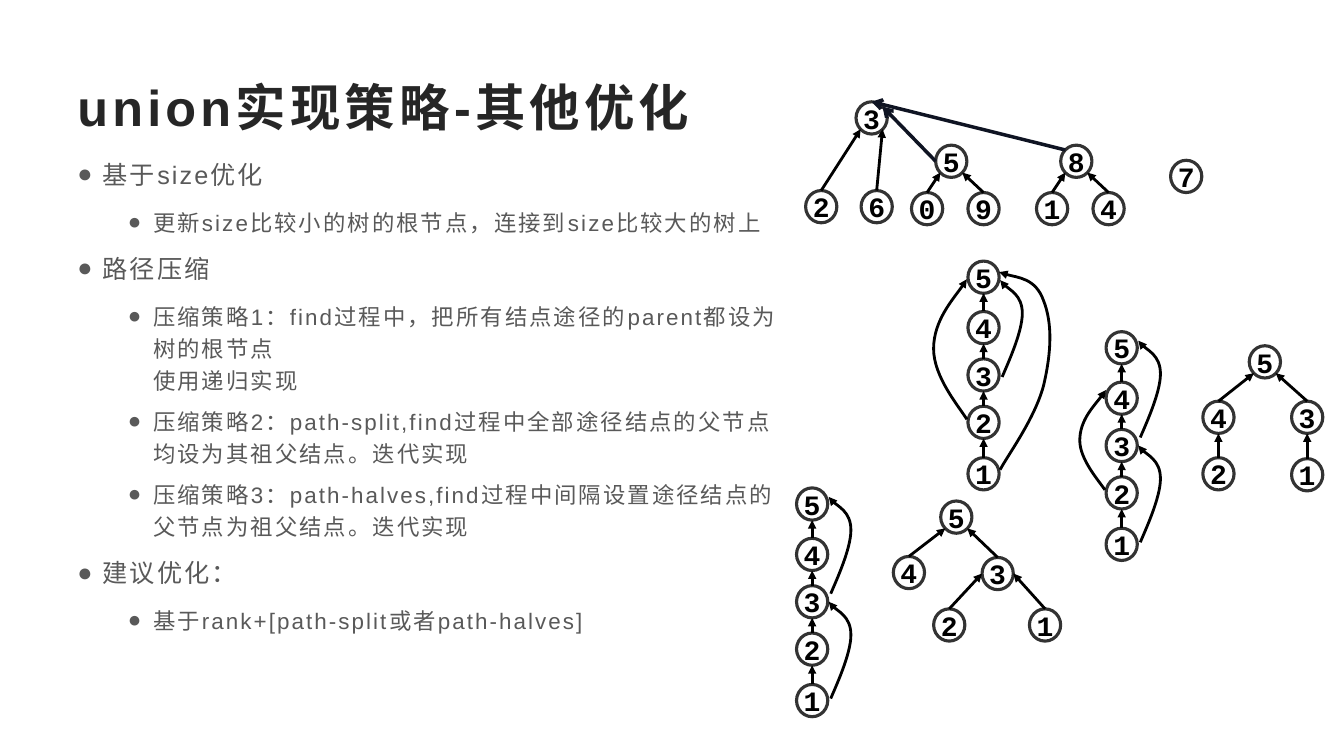
import pptx
import pptx.util
import pptx.dml.color
import pptx.enum.shapes
import pptx.enum.text
import pptx.oxml.ns
import lxml.etree

Inches, Pt = pptx.util.Inches, pptx.util.Pt
qn = pptx.oxml.ns.qn
COLORS = {"title": "262626", "body": "595959", "ink": "000000",
          "ring": "333333", "node": "FFFFFF", "merge": "0F1423"}

# Text formats
TITLE = {"size": Pt(36), "bold": True, "name": "Arial"}
NODE = {"size": Pt(20), "bold": True, "name": "Courier New"}
LEVELS = [
    {"font": {"size": Pt(18), "name": "Arial"}, "margin": 0.25,
     "para": {"level": 0, "line_spacing": 1.3, "space_after": Pt(10)}},
    {"font": {"size": Pt(16), "name": "Arial"}, "margin": 0.75,
     "para": {"level": 1, "line_spacing": 1.2, "space_after": Pt(6)}},
]
BODY = [
    (0, "基于size优化"),
    (1, "更新size比较小的树的根节点，连接到size比较大的树上"),
    (0, "路径压缩"),
    (1, "压缩策略1：find过程中，把所有结点途径的parent都设为树的根节点\v使用递归实现"),
    (1, "压缩策略2：path-split,find过程中全部途径结点的父节点均设为其祖父结点。迭代实现"),
    (1, "压缩策略3：path-halves,find过程中间隔设置途径结点的父节点为祖父结点。迭代实现"),
    (0, "建议优化："),
    (1, "基于rank+[path-split或者path-halves]"),
]

# Node size and the points on its rim where links end
WIDTH, HEIGHT = 0.31, 0.32
RIM = {"top": (0.5, 0), "left": (0, 0.5), "right": (1, 0.5), "bottom": (0.5, 1),
       "top left": (0.15, 0.15), "top right": (0.85, 0.15),
       "bottom left": (0.15, 0.85), "bottom right": (0.85, 0.85)}

# Trees: node places, then child-parent links
FOREST = {"3": (8.49, 1.01), "5": (9.28, 1.44), "8": (10.52, 1.44),
          "2": (7.99, 1.89), "6": (8.54, 1.89), "0": (9.04, 1.91), "9": (9.6, 1.91),
          "1": (10.28, 1.91), "4": (10.84, 1.91), "7": (11.61, 1.59)}
SPLIT = {"5": (12.39, 3.43), "4": (11.93, 3.98), "3": (12.81, 3.98),
         "2": (11.93, 4.54), "1": (12.81, 4.55)}
HALVED = {"5": (9.33, 4.97), "4": (8.86, 5.52), "3": (9.74, 5.53),
          "2": (9.26, 6.04), "1": (10.21, 6.04)}
CHAIN_DROPS = {"5": 0, "4": 0.5, "3": 0.97, "2": 1.44, "1": 1.95}
CHAIN_LINKS = ["45", "34", "23", "12"]

# Curves: start point, then three points for each Bezier piece, from the chain's corner
HOP = [(0, 0), (0.05, -0.12), (0.2, -0.44), (0.2, -0.63), (0.2, -0.82), (0.03, -0.88),
       (-0.01, -0.95), (-0.03, -0.98), (-0.01, -0.95), (-0.01, -0.95),
       (-0.01, -0.95), (-0.02, -0.96), (-0.02, -0.96)]
LONG_BOW = [(-0.01, 1.57), (-0.09, 1.44), (-0.34, 1.15), (-0.34, 0.87),
            (-0.34, 0.59), (-0.08, 0.3), (-0.01, 0.18)]
SHORT_BOW = [(-0.01, 1.57), (-0.07, 1.48), (-0.26, 1.27), (-0.26, 1.08),
             (-0.26, 0.88), (-0.06, 0.67), (0, 0.58)]
OUTER = [(0.32, 2.07), (0.4, 1.92), (0.66, 1.57), (0.75, 1.24),
         (0.83, 0.9), (0.84, 0.62), (0.75, 0.39), (0.67, 0.17), (0.4, 0.15), (0.31, 0.11)]


def color(name):
    return pptx.dml.color.RGBColor.from_string(COLORS[name])


def shifted(points, left, top):
    return [(left + x, top + y) for x, y in points]


def format_span(span, font, ink, spacing=0):
    for key, value in font.items():
        setattr(span.font, key, value)
    span.font.color.rgb = color(ink)
    if spacing:
        span._r.get_or_add_rPr().set("spc", str(spacing))


def add_text_box(page, *place):
    frame = page.shapes.add_textbox(*map(Inches, place)).text_frame
    frame.word_wrap = True
    return frame


def add_title(page, text):
    frame = add_text_box(page, 0.67, 0.67, 12, 0.77)
    frame.vertical_anchor = pptx.enum.text.MSO_ANCHOR.MIDDLE
    frame.text = text
    format_span(frame.paragraphs[0].runs[0], TITLE, "title", 300)


def add_bullets(page, items):
    frame = add_text_box(page, 0.67, 1.44, 7.2, 5.4)
    for index, (depth, text) in enumerate(items):
        para = frame.add_paragraph() if index else frame.paragraphs[0]
        style = LEVELS[depth]
        para.text = text
        for key, value in style["para"].items():
            setattr(para, key, value)
        props = para._p.get_or_add_pPr()
        props.set("marL", str(Inches(style["margin"])))
        props.set("indent", str(-Inches(0.25)))
        lxml.etree.SubElement(props, qn("a:buFont")).set("typeface", "Arial")
        lxml.etree.SubElement(props, qn("a:buChar")).set("char", "●")
        for span in para.runs:
            format_span(span, style["font"], "body", 150)


def add_node(page, label, left, top):
    node = page.shapes.add_shape(pptx.enum.shapes.MSO_SHAPE.OVAL,
                                 *map(Inches, (left, top, WIDTH, HEIGHT)))
    node.shadow.inherit = False
    node.fill.solid()
    node.fill.fore_color.rgb = color("node")
    node.line.color.rgb = color("ring")
    node.line.width = Pt(2.25)
    frame = node.text_frame
    layout = {"margin_left": 0, "margin_right": 0, "margin_top": 0, "margin_bottom": 0,
              "word_wrap": False, "vertical_anchor": pptx.enum.text.MSO_ANCHOR.MIDDLE}
    for key, value in layout.items():
        setattr(frame, key, value)
    frame.text = label
    frame.paragraphs[0].alignment = pptx.enum.text.PP_ALIGN.CENTER
    format_span(frame.paragraphs[0].runs[0], NODE, "ink")


def style_arrow(arrow, ink="ink", weight=2, head="triangle"):
    arrow.line.color.rgb = color(ink)
    arrow.line.width = Pt(weight)
    props = arrow._element.spPr
    lxml.etree.SubElement(props.find(qn("a:ln")), qn("a:tailEnd")).set("type", head)
    lxml.etree.SubElement(props, qn("a:effectLst"))


def add_link(page, child, parent, leave="top", reach=None, **style):
    if reach is None:
        shift = child[0] - parent[0]
        reach = "bottom" if shift == 0 else "bottom left" if shift < 0 else "bottom right"
    ends = [place + share * size
            for corner, rim in ((child, RIM[leave]), (parent, RIM[reach]))
            for place, share, size in zip(corner, rim, (WIDTH, HEIGHT))]
    link = page.shapes.add_connector(pptx.enum.shapes.MSO_CONNECTOR.STRAIGHT,
                                     *map(Inches, ends))
    style_arrow(link, **style)


def add_curve(page, points):
    start, *rest = [tuple(map(Inches, point)) for point in points]
    builder = page.shapes.build_freeform(*start)
    builder.add_line_segments(rest, close=False)
    curve = builder.convert_to_shape()
    # Join each three segments into one Bezier piece
    outline = curve._element.spPr.find(".//" + qn("a:path"))
    segments = outline.findall(qn("a:lnTo"))
    for first in range(0, len(segments), 3):
        piece = lxml.etree.SubElement(outline, qn("a:cubicBezTo"))
        for segment in segments[first:first + 3]:
            piece.append(segment[0])
            outline.remove(segment)
    curve.fill.background()
    style_arrow(curve)


def add_tree(page, nodes, links):
    for label, place in nodes.items():
        add_node(page, label, *place)
    for child, parent, *sites in links:
        add_link(page, nodes[child], nodes[parent], *sites)


def add_chain(page, left, top, curves):
    nodes = {label: (left, top + drop) for label, drop in CHAIN_DROPS.items()}
    add_tree(page, nodes, CHAIN_LINKS)
    for curve in curves:
        add_curve(page, shifted(curve, left, top))


def main():
    deck = pptx.Presentation()
    deck.slide_width, deck.slide_height = Inches(13.33), Inches(7.5)
    page = deck.slides.add_slide(deck.slide_layouts[6])
    add_title(page, "union实现策略-其他优化")
    add_bullets(page, BODY)

    # Union by size
    add_tree(page, FOREST, ["05", "95", "18", "48", "23", "63"])
    merge = {"ink": "merge", "weight": 2.5, "head": "arrow"}
    add_link(page, FOREST["5"], FOREST["3"], "left", "top right", **merge)
    add_link(page, FOREST["8"], FOREST["3"], "top left", "top", **merge)

    # Path compression: full, split, halved
    upper, lower = shifted(HOP, 0.34, 1.05), shifted(HOP, 0.34, 2.09)
    add_chain(page, 9.6, 2.59, [shifted(HOP, 0.34, 1.15), LONG_BOW, OUTER])
    add_chain(page, 10.97, 3.29, [lower, SHORT_BOW, upper])
    add_chain(page, 7.9, 4.84, [lower, upper])

    # Resulting trees
    add_tree(page, SPLIT, ["45", "13", "24", "35"])
    add_tree(page, HALVED, ["45", "35", ("2", "3", "top", "left"), ("1", "3", "top", "right")])
    deck.save("out.pptx")


if __name__ == "__main__":
    main()
